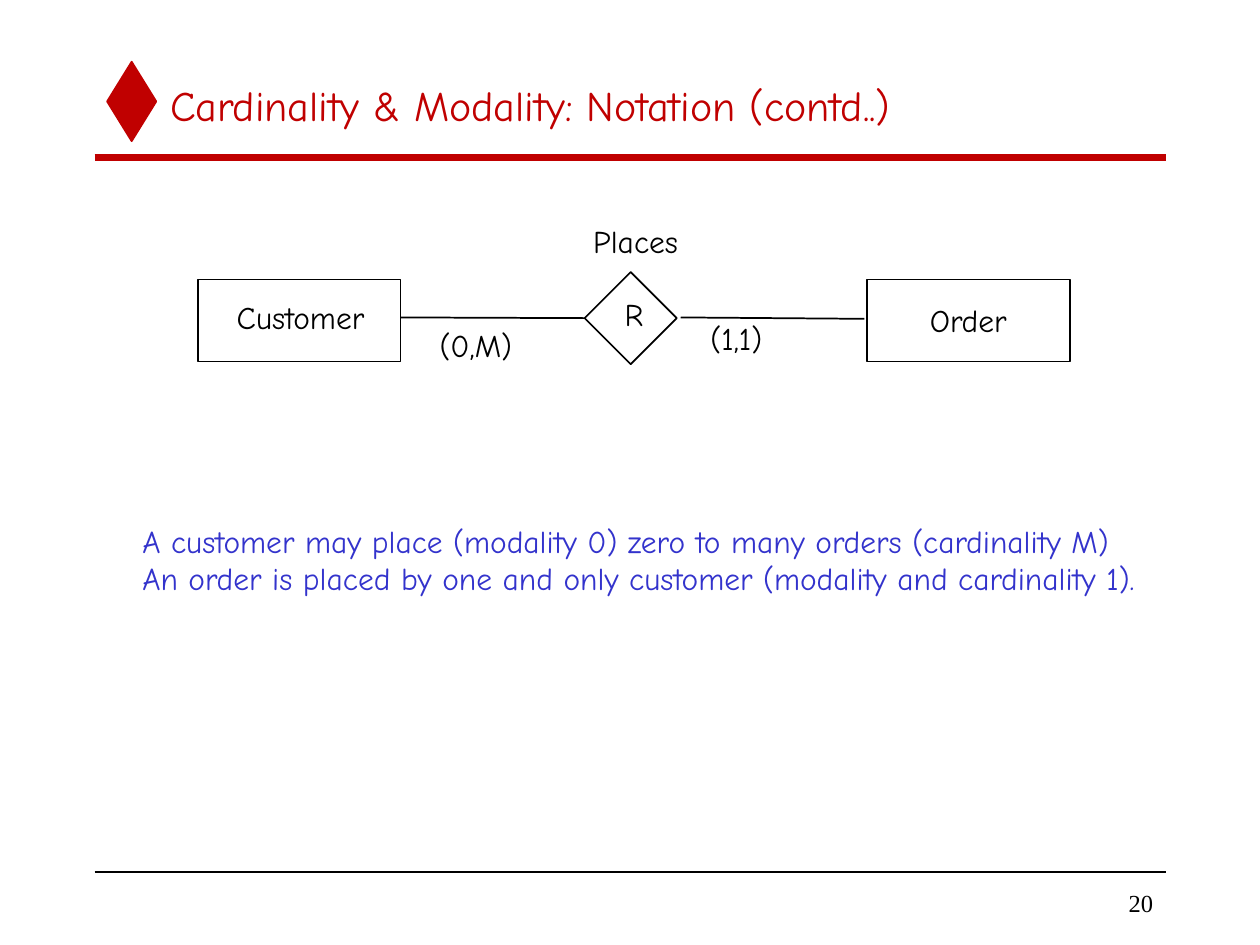
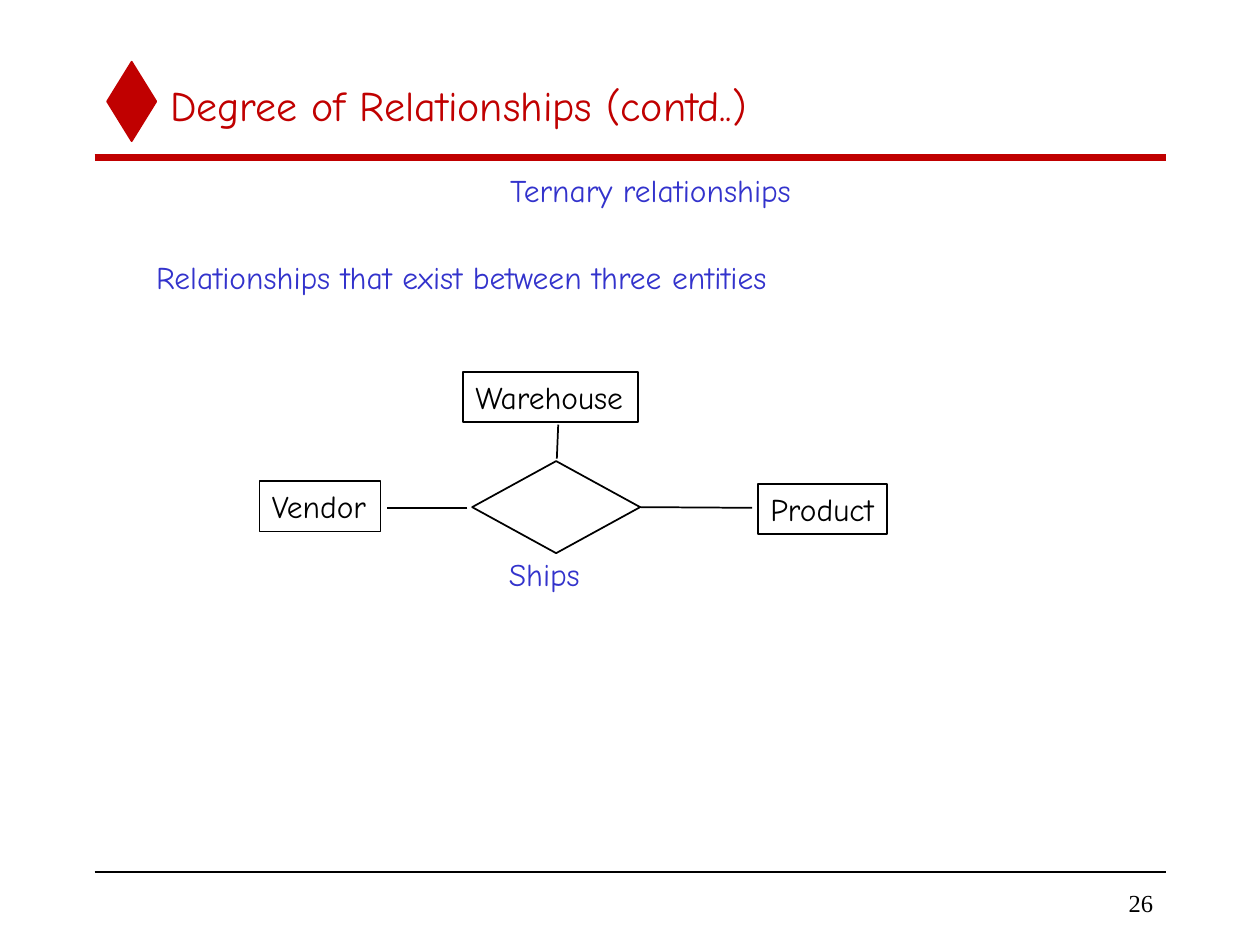
"""Build two entity-relationship slides: cardinality notation and ternary relationships."""
from lxml import etree
from pptx import Presentation
from pptx.dml.color import RGBColor
from pptx.enum.shapes import MSO_CONNECTOR, MSO_SHAPE
from pptx.enum.text import MSO_ANCHOR, MSO_AUTO_SIZE, PP_ALIGN
from pptx.oxml.ns import qn
from pptx.util import Pt

STRAIGHT = MSO_CONNECTOR.STRAIGHT
RECTANGLE, DIAMOND = MSO_SHAPE.RECTANGLE, MSO_SHAPE.DIAMOND
TOP, MIDDLE = MSO_ANCHOR.TOP, MSO_ANCHOR.MIDDLE
LEFT, RIGHT = PP_ALIGN.LEFT, PP_ALIGN.RIGHT
FIT_SHAPE = MSO_AUTO_SIZE.SHAPE_TO_FIT_TEXT

COLORS = {"accent": "C00000", "ink": "000000", "note": "3333CC"}
BODY_FONT, NUMBER_FONT = "Comic Neue", "Times New Roman"
TITLE_SIZE, BODY_SIZE, NUMBER_SIZE = 24, 18, 14
TITLE_ONLY = 5
SLIDE_WIDTH, SLIDE_HEIGHT = 720, 540
MARGIN = 54
LABEL_HEIGHT, LINE_HEIGHT = 28.8, 21.6
LABEL_SLACK = 2
LEFT_SIDE, RIGHT_SIDE = 1, 3

SLIDES = [
    {
        "title": "Cardinality & Modality: Notation (contd..)",
        "number": "20",
        "nodes": {
            "customer": (RECTANGLE, "", (113, 159.8, 116, 46.8)),
            "order": (RECTANGLE, "", (495.4, 159.8, 116, 46.8)),
            "places": (DIAMOND, "", (334.1, 155.5, 52.6, 52.6)),
        },
        "lines": [
            ((229, 181.4), (334.1, 181.8), None, ("places", LEFT_SIDE)),
            ((389, 181.4), (493.9, 182.2), None, None),
        ],
        "labels": [
            (["Customer"], "ink", (128.2, 167, 87.8)),
            (["R"], "ink", (349.9, 164.9, 25.2)),
            (["Order"], "ink", (524.2, 168.5, 58.3)),
            (["(0,M)"], "ink", (244.1, 182.9, 55.4)),
            (["(1,1)"], "ink", (398.9, 178.6, 43.9)),
            (["Places"], "ink", (331.9, 123.1, 62.6)),
            (["A customer may place (modality 0) zero to many orders (cardinality M)",
              "An order is placed by one and only customer (modality and cardinality 1)."],
             "note", (74.2, 294.5, 583.2)),
        ],
    },
    {
        "title": "Degree of Relationships (contd..)",
        "number": "26",
        "nodes": {
            "vendor": (RECTANGLE, "Vendor", (148.3, 275, 69.1, LABEL_HEIGHT)),
            "warehouse": (RECTANGLE, "Warehouse", (264.6, 212.4, 100.1, LABEL_HEIGHT)),
            "product": (RECTANGLE, "Product", (433.1, 276.5, 73.8, LABEL_HEIGHT)),
            "ships": (DIAMOND, "", (269.8, 263.5, 96, 52.6)),
        },
        "lines": [
            ((267.1, 290.2), (221, 290.2), None, None),
            ((318.2, 262.1), (319, 242.6), None, None),
            ((365.8, 290.2), (429.8, 290.2), ("ships", RIGHT_SIDE), None),
        ],
        "labels": [
            (["Ternary relationships"], "note", (284.4, 94.3, 176.4)),
            (["Relationships that exist between three entities"], "note", (82.1, 144, 364.3)),
            (["Ships"], "note", (283.7, 313.9, 54.7)),
        ],
    },
]


def rgb(color):
    return RGBColor.from_string(COLORS[color])


def place(shape, *box):
    shape.left, shape.top, shape.width, shape.height = map(Pt, box)


def write(shape, lines, color, size=BODY_SIZE, font=BODY_FONT, align=LEFT, anchor=TOP, wrap=False):
    frame = shape.text_frame
    frame.text = "\n".join(lines)
    frame.word_wrap = wrap
    frame.vertical_anchor = anchor
    for paragraph in frame.paragraphs:
        paragraph.alignment = align
        for run in paragraph.runs:
            run.font.name, run.font.size = font, Pt(size)
            run.font.color.rgb = rgb(color)


def add_outline(slide, kind, box, color="ink", filled=False):
    shape = slide.shapes.add_shape(kind, *map(Pt, box))
    shape.shadow.inherit = False
    if filled:
        shape.fill.solid()
        shape.fill.fore_color.rgb = rgb(color)
    else:
        shape.fill.background()
    shape.line.color.rgb = rgb(color)
    shape.line.width = Pt(1)
    return shape


def add_line(slide, start, end, color="ink", width=1):
    connector = slide.shapes.add_connector(STRAIGHT, *map(Pt, start + end))
    connector.line.color.rgb = rgb(color)
    connector.line.width = Pt(width)
    etree.SubElement(connector._element.spPr, qn("a:effectLst"))
    return connector


def add_label(slide, lines, color, box):
    left, top, width = box
    height = LABEL_HEIGHT + (len(lines) - 1) * LINE_HEIGHT
    label = slide.shapes.add_textbox(Pt(left), Pt(top), Pt(width + LABEL_SLACK), Pt(height))
    write(label, lines, color)
    label.text_frame.auto_size = FIT_SHAPE


def add_frame(slide, title, number):
    add_outline(slide, DIAMOND, (61.2, 35.3, 28.1, 45.4), "accent", filled=True)
    for y, color, width in ((90, "accent", 4), (498.2, "ink", 1)):
        add_line(slide, (MARGIN, y), (SLIDE_WIDTH - MARGIN, y), color, width)
    place(slide.shapes.title, 90, 36, 576, 48.2)
    write(slide.shapes.title, [title], "accent", TITLE_SIZE, anchor=MIDDLE, wrap=True)
    page = slide.shapes.add_textbox(Pt(563.8), Pt(504), Pt(102.2), Pt(23.8))
    write(page, [number], "ink", NUMBER_SIZE, NUMBER_FONT, RIGHT, MIDDLE)


def add_diagram(slide, nodes, lines, labels):
    shapes = {}
    for name, (kind, text, box) in nodes.items():
        shapes[name] = add_outline(slide, kind, box)
        if text:
            write(shapes[name], [text], "ink")
    for start, end, start_joint, end_joint in lines:
        connector = add_line(slide, start, end)
        if start_joint:
            connector.begin_connect(shapes[start_joint[0]], start_joint[1])
        if end_joint:
            connector.end_connect(shapes[end_joint[0]], end_joint[1])
    for label in labels:
        add_label(slide, *label)


def main():
    presentation = Presentation()
    presentation.slide_width, presentation.slide_height = Pt(SLIDE_WIDTH), Pt(SLIDE_HEIGHT)
    for content in SLIDES:
        slide = presentation.slides.add_slide(presentation.slide_layouts[TITLE_ONLY])
        add_frame(slide, content["title"], content["number"])
        add_diagram(slide, content["nodes"], content["lines"], content["labels"])
    presentation.save("out.pptx")


if __name__ == "__main__":
    main()
